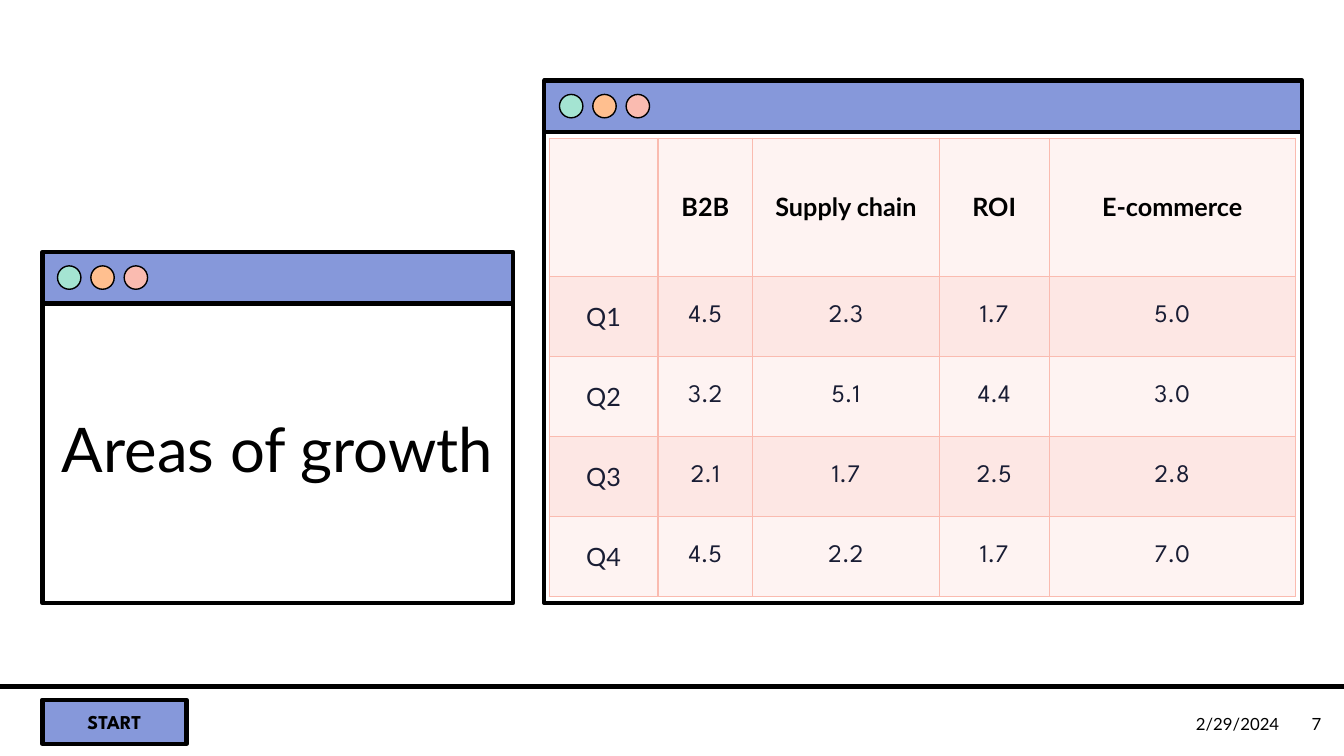
from lxml import etree
from pptx import Presentation
from pptx import util as u
from pptx.dml.color import RGBColor
from pptx.enum import shapes, text
from pptx.oxml.ns import qn

COLORS = {
    "black": "000000", "white": "FFFFFF", "ink": "191D34",
    "bar": "8698DA", "mint": "A4E4D2", "orange": "FFBF8F", "pink": "FABBB0",
    "light": "FEF3F2", "blush": "FDE7E4",
}
LATO, SPARTAN = "Lato", "League Spartan"
WIDTH, HEIGHT = 33.87, 19.05
FOOTER_TOP, FOOTER_HEIGHT = 17.3, 1.75

GROWTH = [
    ["", "B2B", "Supply chain", "ROI", "E-commerce"],
    ["Q1", "4.5", "2.3", "1.7", "5.0"],
    ["Q2", "3.2", "5.1", "4.4", "3.0"],
    ["Q3", "2.1", "1.7", "2.5", "2.8"],
    ["Q4", "4.5", "2.2", "1.7", "7.0"],
]
COLUMN_WIDTHS = [2.74, 2.39, 4.7, 2.77, 6.2]
ROW_HEIGHTS = [3.48] + [2.02] * 4


def rgb(name):
    return RGBColor.from_string(COLORS[name])


def write(frame, words, size=18, font=LATO, color="black", bold=False,
          align="CENTER", spacing=None):
    para = frame.paragraphs[0]
    para.alignment = text.PP_ALIGN[align]
    para.line_spacing = spacing
    span = para.add_run()
    span.text = words
    span.font.size = u.Pt(size)
    span.font.name = font
    span.font.bold = bold
    span.font.color.rgb = rgb(color)


class SlideBuilder:
    def __init__(self, page):
        self.page = page
        self.outline = 3

    def shape(self, kind, left, top, width, height, fill, line=None):
        box = self.page.shapes.add_shape(
            kind, u.Cm(left), u.Cm(top), u.Cm(width), u.Cm(height))
        box.shadow.inherit = False
        box.fill.solid()
        box.fill.fore_color.rgb = rgb(fill)
        if line:
            box.line.color.rgb = rgb("black")
            box.line.width = u.Pt(line)
        else:
            box.line.fill.background()
        return box

    def rectangle(self, *place, fill, line=None):
        return self.shape(shapes.MSO_SHAPE.RECTANGLE, *place, fill, line)

    def window(self, left, top, width, body_height):
        bar_height = 1.3
        self.rectangle(left, top + bar_height, width, body_height,
                       fill="white", line=self.outline)
        self.rectangle(left, top, width, bar_height,
                       fill="bar", line=self.outline)
        for i, color in enumerate(["mint", "orange", "pink"]):
            self.shape(shapes.MSO_SHAPE.OVAL, left + 0.38 + 0.84 * i,
                       top + 0.35, 0.59, 0.59, color, 1)

    def footer(self):
        band = self.rectangle(0, FOOTER_TOP, WIDTH, FOOTER_HEIGHT, fill="white")
        tint = band.element.spPr.find(qn("a:solidFill"))[0]
        etree.SubElement(tint, qn("a:alpha"), val="50000")
        rule = self.page.shapes.add_connector(
            shapes.MSO_CONNECTOR.STRAIGHT, 0, u.Cm(FOOTER_TOP),
            u.Cm(WIDTH), u.Cm(FOOTER_TOP))
        rule.line.color.rgb = rgb("black")
        rule.line.width = u.Pt(self.outline)
        etree.SubElement(rule.element.spPr, qn("a:effectLst"))

    def title(self, words, left, top, width, height):
        title = self.page.shapes.title
        title.left, title.top = u.Cm(left), u.Cm(top)
        title.width, title.height = u.Cm(width), u.Cm(height)
        frame = title.text_frame
        frame.word_wrap = True
        frame.auto_size = text.MSO_AUTO_SIZE.NONE
        frame.vertical_anchor = text.MSO_ANCHOR.MIDDLE
        write(frame, words, size=44, spacing=0.9)
        # Bring the title in front of its window
        title.element.getparent().append(title.element)

    def table(self, left, top, rows):
        table = self.page.shapes.add_table(
            len(rows), len(rows[0]), u.Cm(left), u.Cm(top),
            u.Cm(sum(COLUMN_WIDTHS)), u.Cm(sum(ROW_HEIGHTS))).table
        table.horz_banding = False
        for column, width in zip(table.columns, COLUMN_WIDTHS):
            column.width = u.Cm(width)
        for row, height in zip(table.rows, ROW_HEIGHTS):
            row.height = u.Cm(height)
        for r, row in enumerate(rows):
            for c, words in enumerate(row):
                self.cell(table.cell(r, c), words, r, c)

    def cell(self, cell, words, r, c):
        cell.fill.solid()
        cell.fill.fore_color.rgb = rgb("blush" if r % 2 else "light")
        cell.vertical_anchor = text.MSO_ANCHOR.MIDDLE
        if words:
            write(cell.text_frame, words, font=SPARTAN if r and c else LATO,
                  color="ink" if r else "black", bold=r == 0)
        # Borders come before the fill in the cell properties
        properties = cell._tc.get_or_add_tcPr()
        for i, side in enumerate(["lnL", "lnR", "lnT", "lnB"]):
            border = etree.Element(qn(f"a:{side}"), w=str(u.Pt(1)))
            fill = etree.SubElement(border, qn("a:solidFill"))
            etree.SubElement(fill, qn("a:srgbClr"), val=COLORS["pink"])
            properties.insert(i, border)

    def button(self, words, *place):
        box = self.rectangle(*place, fill="bar", line=self.outline)
        box.text_frame.vertical_anchor = text.MSO_ANCHOR.MIDDLE
        write(box.text_frame, words, size=14, font=SPARTAN, bold=True)

    def footer_text(self, words, left, width, align):
        box = self.page.shapes.add_textbox(
            u.Cm(left), u.Cm(FOOTER_TOP), u.Cm(width), u.Cm(FOOTER_HEIGHT))
        frame = box.text_frame
        frame.word_wrap = True
        frame.margin_top = u.Cm(0.25)
        frame.vertical_anchor = text.MSO_ANCHOR.MIDDLE
        write(frame, words, size=12, align=align)


def main():
    deck = Presentation()
    deck.slide_width, deck.slide_height = u.Cm(WIDTH), u.Cm(HEIGHT)
    slide = SlideBuilder(deck.slides.add_slide(deck.slide_layouts[5]))

    # Windows and footer band
    slide.window(1.07, 6.35, 11.86, 7.55)
    slide.window(13.72, 2.03, 19.1, 11.87)
    slide.footer()

    # Window contents
    slide.title("Areas of growth", 1.07, 7.63, 11.86, 7.55)
    slide.table(13.84, 3.48, GROWTH)

    # Footer contents
    slide.button("START", 1.07, 17.63, 3.63, 1.12)
    slide.footer_text("2/29/2024", 29.31, 3.18, "RIGHT")
    slide.footer_text("7", 32.48, 1.39, "CENTER")

    deck.save("out.pptx")


if __name__ == "__main__":
    main()
